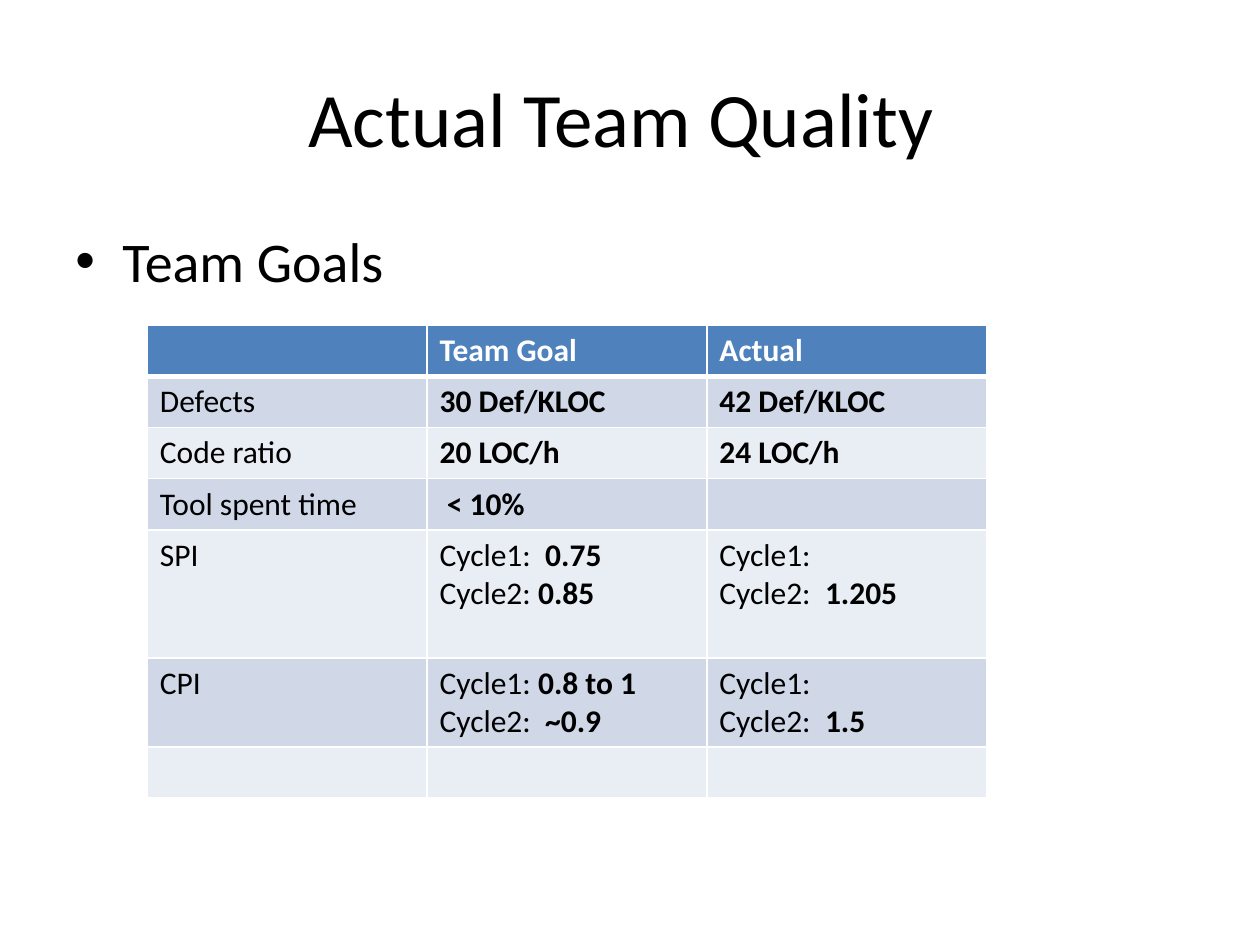
import dataclasses

import lxml.etree
import pptx
import pptx.dml.color
import pptx.enum.text
import pptx.oxml.ns
import pptx.util

Cm, Pt = pptx.util.Cm, pptx.util.Pt
RGB = pptx.dml.color.RGBColor
ALIGN = pptx.enum.text.PP_ALIGN
qn = pptx.oxml.ns.qn

FONT = "Calibri"
BLACK = RGB(0x00, 0x00, 0x00)
WHITE = RGB(0xFF, 0xFF, 0xFF)
BLUE = RGB(0x4F, 0x81, 0xBD)
DARK = RGB(0xD0, 0xD8, 0xE8)
LIGHT = RGB(0xE9, 0xED, 0xF4)
COL = 5.64
LOW = 1.03


@dataclasses.dataclass
class Row:
    """A table row; stars in a cell switch bold on and off."""
    cells: tuple[str, str, str]
    height: float = LOW


ROWS = [
    Row(("", "*Team Goal", "*Actual")),
    Row(("Defects", "*30 Def/KLOC", "*42 Def/KLOC")),
    Row(("Code ratio", "*20 LOC/h", "*24 LOC/h")),
    Row(("Tool spent time", " *< 10%", "")),
    Row(("SPI", "Cycle1:  *0.75\nCycle2: *0.85", "Cycle1:\nCycle2:  *1.205"), 2.58),
    Row(("CPI", "Cycle1: *0.8 to 1\nCycle2:  *~0.9", "Cycle1:\nCycle2:  *1.5"), 1.8),
    Row(("", "", "")),
]


def write(frame, text: str, *, size: float = 18, color: RGB = BLACK,
          align: ALIGN = ALIGN.LEFT) -> None:
    """Fill a text frame, one paragraph per line."""
    frame.word_wrap = True
    for i, line in enumerate(text.split("\n")):
        para = frame.paragraphs[0] if i == 0 else frame.add_paragraph()
        para.alignment = align
        para.font.size = Pt(size)
        for j, part in enumerate(line.split("*")):
            if part:
                run = para.add_run()
                run.text = part
                font = run.font
                font.name, font.size, font.bold = FONT, Pt(size), j % 2 == 1
                font.color.rgb = color


def bullet(para, indent: float) -> None:
    """Give a paragraph a hanging round bullet."""
    props = para._p.get_or_add_pPr()
    props.set("marL", str(Cm(indent)))
    props.set("indent", str(-Cm(indent)))
    face = lxml.etree.SubElement(props, qn("a:buFont"))
    face.set("typeface", "Arial")
    lxml.etree.SubElement(props, qn("a:buChar")).set("char", "•")


def edge(cell, side: str, width: float) -> None:
    """Draw one white border of a cell."""
    props = cell._tc.get_or_add_tcPr()
    line = lxml.etree.SubElement(props, qn(f"a:ln{side}"), w=str(Pt(width)))
    fill = lxml.etree.SubElement(line, qn("a:solidFill"))
    lxml.etree.SubElement(fill, qn("a:srgbClr"), val=str(WHITE))


def grid(slide, rows: list[Row], left: float, top: float) -> None:
    """Draw the table with a header and banded rows."""
    high = sum(row.height for row in rows)
    table = slide.shapes.add_table(len(rows), 3, Cm(left), Cm(top),
                                   Cm(3 * COL), Cm(high)).table
    for col in table.columns:
        col.width = Cm(COL)
    for r, row in enumerate(rows):
        table.rows[r].height = Cm(row.height)
        band = BLUE if r == 0 else DARK if r % 2 else LIGHT
        for c, text in enumerate(row.cells):
            cell = table.cell(r, c)
            for side in "LRTB":
                thick = (r, side) in ((0, "B"), (1, "T"))
                edge(cell, side, 3 if thick else 1)
            cell.fill.solid()
            cell.fill.fore_color.rgb = band
            write(cell.text_frame, text, color=BLACK if r else WHITE)


def main() -> None:
    deck = pptx.Presentation()
    deck.slide_width, deck.slide_height = Cm(25.4), Cm(19.05)
    slide = deck.slides.add_slide(deck.slide_layouts[5])

    # Title
    title = slide.shapes.title
    title.left, title.top = Cm(1.27), Cm(0.76)
    title.width, title.height = Cm(22.86), Cm(3.18)
    title.text_frame.vertical_anchor = pptx.enum.text.MSO_ANCHOR.MIDDLE
    write(title.text_frame, "Actual Team Quality ", size=44, align=ALIGN.CENTER)

    # Bullet point
    body = slide.shapes.add_textbox(Cm(1.27), Cm(4.45), Cm(22.86), Cm(12.57))
    write(body.text_frame, "Team Goals", size=32)
    para = body.text_frame.paragraphs[0]
    para.space_before = Pt(6.4)
    bullet(para, 0.95)

    # Goals against results
    grid(slide, ROWS, 2.97, 6.56)
    deck.save("out.pptx")


if __name__ == "__main__":
    main()
